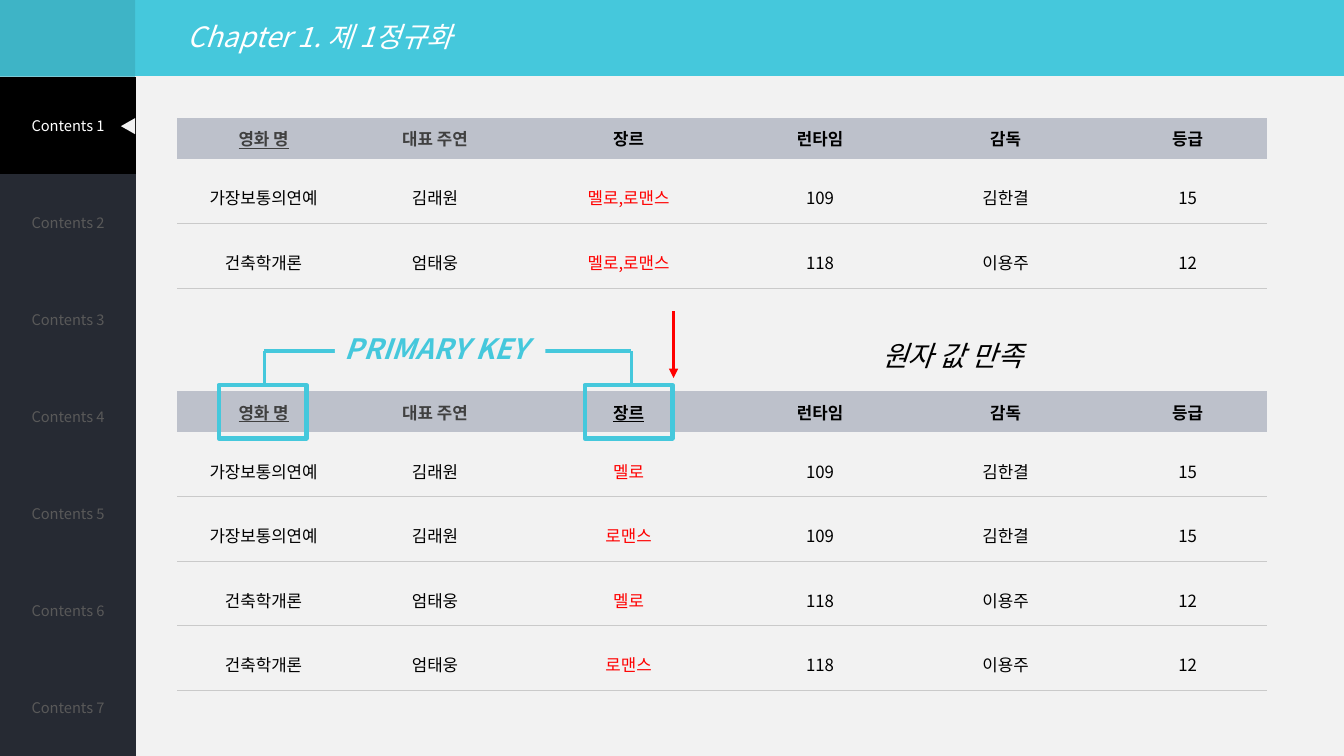
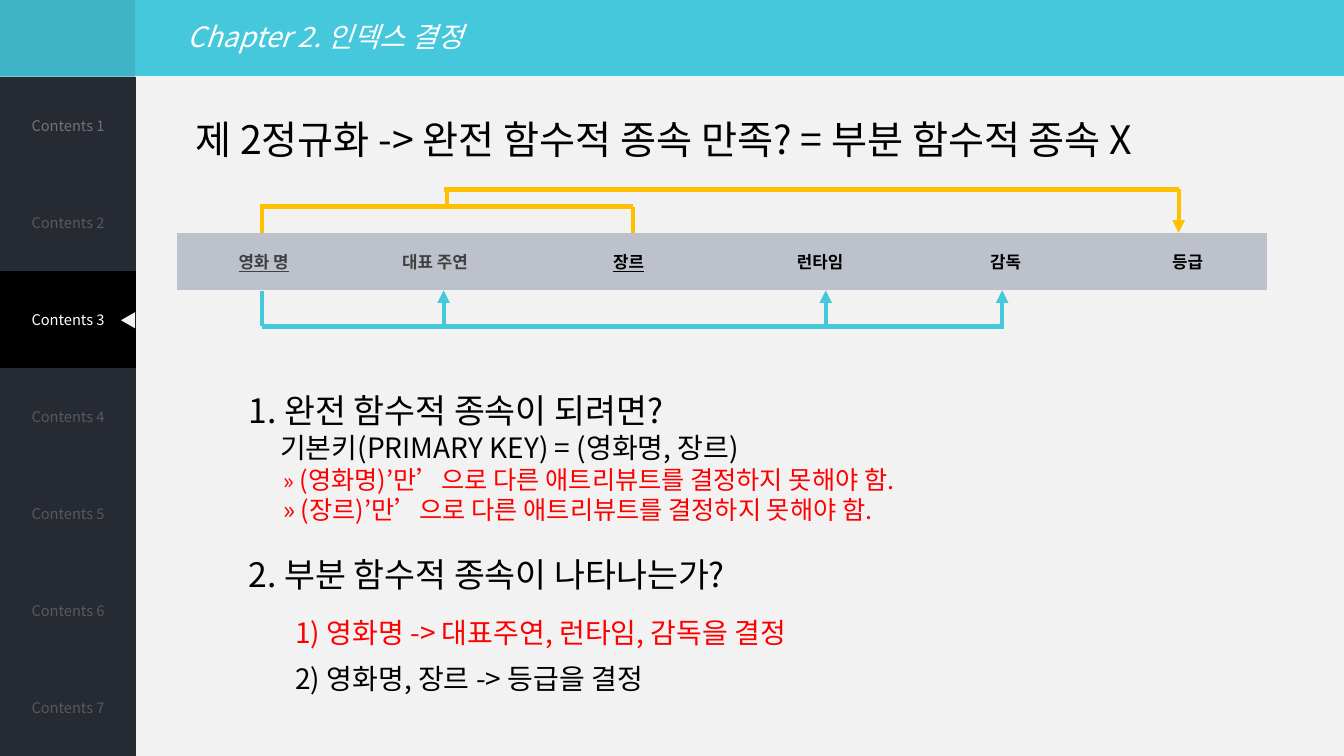
from pptx import Presentation
from pptx.dml.color import RGBColor
from pptx.enum.shapes import MSO_CONNECTOR, MSO_SHAPE
from pptx.enum.text import MSO_ANCHOR, MSO_AUTO_SIZE, PP_ALIGN
from pptx.oxml.ns import qn
from pptx.util import Inches, Pt
from lxml import etree

LINE = MSO_CONNECTOR.STRAIGHT
RECT, WEDGE = MSO_SHAPE.RECTANGLE, MSO_SHAPE.ISOSCELES_TRIANGLE
MID, LEFT, CENTER = MSO_ANCHOR.MIDDLE, PP_ALIGN.LEFT, PP_ALIGN.CENTER
FIXED = MSO_AUTO_SIZE.NONE
PLAIN = "{2D5ABB26-0587-4C30-8999-92F81FD0307C}"  # table style without grid


class Theme:
    font = "Noto Sans CJK KR"
    cyan, teal, gold = "45C8DC", "3EB4C6", "FFC000"
    paper, white, black, red = "F2F2F2", "FFFFFF", "000000", "FF0000"
    dark, dim, soft = "262A33", "595959", "767171"
    head, gray, rule = "BDC1CB", "404040", "CACACA"
    nav, cell, small, text, body, sub, lead = 10.5, 12, 16, 18, 20, 24, 28


def put(para, text, size, color, bold=False, italic=False, under=False):
    """Add one formatted run to a paragraph."""
    run = para.add_run()
    run.text = text
    font = run.font
    font.size, font.bold, font.italic, font.underline = Pt(size), bold, italic, under
    font.color.rgb = RGBColor.from_string(color)
    font.name = Theme.font
    etree.SubElement(font._element, qn("a:ea"), typeface=Theme.font)


def link(slide, start, end, color, width=3, arrow=False):
    """Draw a straight line, with an arrowhead at its end if asked."""
    conn = slide.shapes.add_connector(LINE, *map(Inches, start + end))
    conn.line.color.rgb = RGBColor.from_string(color)
    conn.line.width = Pt(width)
    if arrow:
        etree.SubElement(conn.line._get_or_add_ln(), qn("a:tailEnd"), type="triangle")
    etree.SubElement(conn._element.spPr, qn("a:effectLst"))


prs = Presentation()
prs.slide_width, prs.slide_height = Inches(13.33), Inches(7.5)

# Shared background: cyan title band over light paper
fill = prs.slide_master.background.fill
fill.gradient()
fill.gradient_angle = 270
for stop, color in zip(fill.gradient_stops, (Theme.cyan, Theme.paper)):
    stop.position = 0.1
    stop.color.rgb = RGBColor.from_string(color)

# Content of the tables
HEADS = ["영화 명", "대표 주연", "장르", "런타임", "감독", "등급"]
COLS = [1.57, 1.83, 2.01, 1.79, 1.89, 1.72]
FILMS = [("가장보통의연예", "김래원", "109", "김한결", "15"),
         ("건축학개론", "엄태웅", "118", "이용주", "12")]
joint = [(*film[:2], "멜로,로맨스", *film[2:]) for film in FILMS]
split = [(*film[:2], genre, *film[2:]) for film in FILMS for genre in ("멜로", "로맨스")]

# Per slide: title, active entry, colour of the first entry when idle,
# tables as (top, header height, underlined columns, rows)
PAGES = [
    ("Chapter 1. 제 1정규화", 0, Theme.dim,
     [(1.17, 0.41, (0,), joint), (3.88, 0.41, (0, 2), split)]),
    ("Chapter 2. 인덱스 결정", 2, Theme.soft, [(2.31, 0.57, (0, 2), [])]),
]
STEP = 6.74 / 7
slides = []
for name, active, first, grids in PAGES:
    slide = prs.slides.add_slide(prs.slide_layouts[5])
    slides.append(slide)

    # Title
    title = slide.shapes.title
    title.left, title.top, title.width, title.height = map(Inches, (1.76, 0.14, 10.64, 0.44))
    frame = title.text_frame
    frame.auto_size, frame.vertical_anchor = FIXED, MID
    frame.paragraphs[0].alignment = LEFT
    put(frame.paragraphs[0], name, Theme.body, Theme.white, italic=True)

    # Side menu and data tables
    menu = [[f"Contents {n + 1}"] for n in range(7)]
    specs = [(0, 0.76, [1.35], [STEP] * 7, menu, None)]
    for top, high, keys, rows in grids:
        specs.append((1.76, top, COLS, [high] + [0.64] * len(rows), [HEADS] + rows, keys))
    for left, top, cols, highs, data, keys in specs:
        side = keys is None
        table = slide.shapes.add_table(
            len(data), len(cols), Inches(left), Inches(top),
            Inches(sum(cols)), Inches(sum(highs))).table
        table.first_row = table.horz_banding = False
        table._tbl.tblPr.find(qn("a:tableStyleId")).text = PLAIN
        for col, wide in zip(table.columns, cols):
            col.width = Inches(wide)
        for r, (row, high) in enumerate(zip(data, highs)):
            table.rows[r].height = Inches(high)
            for c, text in enumerate(row):
                cell = table.cell(r, c)
                cell.vertical_anchor = MID
                para = cell.text_frame.paragraphs[0]
                para.alignment = CENTER
                if not side:
                    cell.margin_left = Inches(0.24)
                if side:
                    back = Theme.black if r == active else Theme.dark
                    ink = Theme.white if r == active else first if r == 0 else Theme.dim
                    put(para, text, Theme.nav, ink)
                elif r == 0:
                    back = Theme.head
                    ink = Theme.gray if c < 2 else Theme.black
                    put(para, text, Theme.cell, ink, bold=True, under=c in keys)
                else:
                    back = None
                    para.line_spacing = 1.5
                    put(para, text, Theme.cell, Theme.red if c == 2 else Theme.black)
                if back:
                    cell.fill.solid()
                    cell.fill.fore_color.rgb = RGBColor.from_string(back)
                else:
                    cell.fill.background()
                    edge = etree.Element(qn("a:lnB"), w=str(Pt(1)))
                    paint = etree.SubElement(edge, qn("a:solidFill"))
                    etree.SubElement(paint, qn("a:srgbClr"), val=Theme.rule)
                    cell._tc.get_or_add_tcPr().insert(0, edge)

    # Menu corner and pointer of the active entry
    mark = 0.76 + STEP * (active + 0.5) - 0.06
    for kind, box, color, turn in [(RECT, (0, 0, 1.34, 0.76), Theme.teal, 0),
                                   (WEDGE, (1.19, mark, 0.16, 0.14), Theme.paper, 270)]:
        shape = slide.shapes.add_shape(kind, *map(Inches, box))
        shape.shadow.inherit = False
        shape.rotation = turn
        shape.fill.solid()
        shape.fill.fore_color.rgb = RGBColor.from_string(color)
        shape.line.fill.background()

one, two = slides

# Slide 1: primary key bracket around both key columns
link(one, (2.62, 3.48), (6.26, 3.48), Theme.cyan)
for x in (2.62, 6.26):
    link(one, (x, 3.82), (x, 3.48), Theme.cyan, 2.25)
for x in (2.17, 5.8):
    ring = one.shapes.add_shape(RECT, *map(Inches, (x, 3.82, 0.87, 0.53)))
    ring.shadow.inherit = False
    ring.fill.background()
    ring.line.color.rgb = RGBColor.from_string(Theme.cyan)
    ring.line.width = Pt(3)
label = one.shapes.add_shape(RECT, *map(Inches, (3.32, 3.24, 2.09, 0.44)))
label.shadow.inherit = False
label.fill.solid()
label.fill.fore_color.rgb = RGBColor.from_string(Theme.paper)
label.line.fill.background()
para = label.text_frame.paragraphs[0]
para.alignment = LEFT
put(para, "PRIMARY KEY", Theme.body, Theme.cyan, bold=True, italic=True)
link(one, (6.68, 3.09), (6.68, 3.75), Theme.red, 2.25, arrow=True)

# Slide 2: film name alone decides three columns
link(two, (2.6, 3.23), (2.6, 2.89), Theme.cyan)
link(two, (2.6, 3.24), (9.96, 3.24), Theme.cyan)
for x in (4.4, 8.19, 9.94):
    link(two, (x, 3.23), (x, 2.88), Theme.cyan, arrow=True)

# Slide 2: film name and genre together decide the rating
for x in (2.6, 6.28):
    link(two, (x, 2.31), (x, 2.05), Theme.gold)
link(two, (2.58, 2.05), (6.28, 2.05), Theme.gold)
link(two, (4.43, 2.05), (4.43, 1.88), Theme.gold)
link(two, (4.4, 1.88), (11.69, 1.88), Theme.gold)
link(two, (11.69, 1.88), (11.69, 2.31), Theme.gold, arrow=True)

# Text boxes: slide, place, italic, paragraphs as (indent, runs)
NOTES = [
    (one, (8.65, 3.31, 3.47, 0.44), True,
     [(0, [("원자 값 만족", Theme.body, Theme.black)])]),
    (two, (1.84, 1.09, 11.12, 0.57), False,
     [(0, [("제 2정규화 -> 완전 함수적 종속 만족? = 부분 함수적 종속 X",
            Theme.lead, Theme.black)])]),
    (two, (2.37, 3.82, 10.21, 1.5), False,
     [(0, [("1. 완전 함수적 종속이 되려면?", Theme.sub, Theme.black)]),
      (0.31, [("기본키(PRIMARY KEY) = (영화명, 장르)", Theme.body, Theme.black)]),
      (0.34, [("»", Theme.small, Theme.red),
              (" (영화명)’만’으로 다른 애트리뷰트를 결정하지 못해야 함.", Theme.text, Theme.red)]),
      (0.34, [("» (장르)’만’으로 다른 애트리뷰트를 결정하지 못해야 함.", Theme.text, Theme.red)])]),
    (two, (2.37, 5.45, 6.95, 0.5), False,
     [(0, [("2. 부분 함수적 종속이 나타나는가?", Theme.sub, Theme.black)])]),
    (two, (2.83, 6.06, 6.76, 0.44), False,
     [(0, [("1) 영화명 -> 대표주연, 런타임, 감독을 결정", Theme.body, Theme.red)])]),
    (two, (2.83, 6.51, 5.88, 0.44), False,
     [(0, [("2) 영화명, 장르 -> 등급을 결정", Theme.body, Theme.black)])]),
]
for slide, box, slant, paras in NOTES:
    frame = slide.shapes.add_textbox(*map(Inches, box)).text_frame
    frame.word_wrap = True
    for n, (indent, runs) in enumerate(paras):
        para = frame.add_paragraph() if n else frame.paragraphs[0]
        para._p.get_or_add_pPr().set("marL", str(Inches(indent)))
        for text, size, color in runs:
            put(para, text, size, color, italic=slant)

prs.save("out.pptx")
